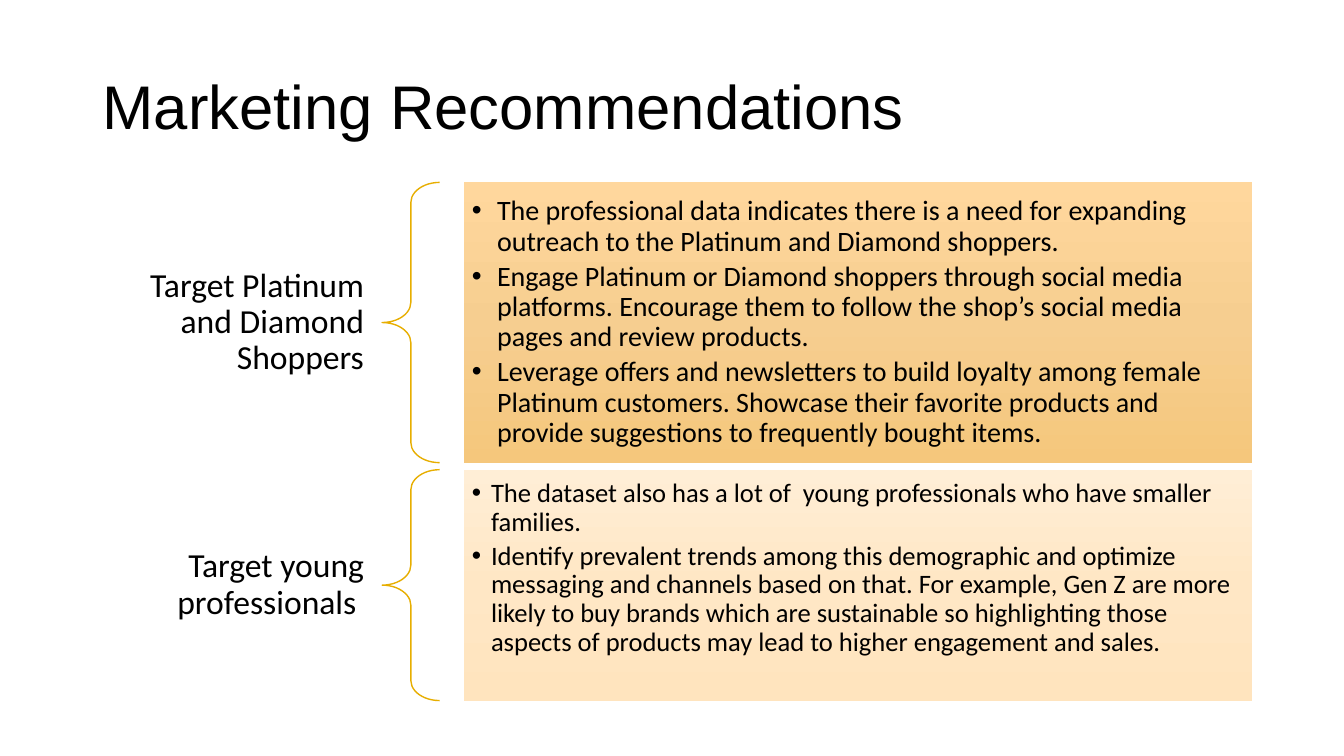
from copy import deepcopy
from dataclasses import dataclass

from lxml.etree import SubElement
from pptx import Presentation
from pptx.dml.color import RGBColor
from pptx.enum.shapes import MSO_SHAPE as Shape
from pptx.enum.text import MSO_ANCHOR as Anchor, PP_ALIGN as Align
from pptx.oxml.ns import qn
from pptx.util import Inches, Pt

BLACK = RGBColor(0x00, 0x00, 0x00)
GOLD = RGBColor(0xE7, 0xAE, 0x00)
DEEP_ORANGE = (RGBColor(0xFF, 0xD7, 0x9D), RGBColor(0xF6, 0xCE, 0x90), RGBColor(0xF5, 0xC7, 0x7C))
PALE_ORANGE = (RGBColor(0xFF, 0xEE, 0xD6), RGBColor(0xFF, 0xE7, 0xC5), RGBColor(0xFF, 0xE4, 0xBE))

LABEL_LEFT, LABEL_WIDTH = 0.92, 2.88
BRACE_LEFT, BRACE_WIDTH = 3.79, 0.57
PANEL_LEFT, PANEL_WIDTH = 4.6, 7.82


@dataclass(frozen=True)
class Recommendation:
    label: str
    points: tuple[str, ...]
    top: float
    height: float
    shades: tuple[RGBColor, RGBColor, RGBColor]
    size: float
    indent: float
    bottom_inset: float


RECOMMENDATIONS = (
    Recommendation(
        "Target Platinum and Diamond Shoppers",
        (
            "The professional data indicates there is a need for expanding outreach to the "
            "Platinum and Diamond shoppers.",
            "Engage Platinum or Diamond shoppers through social media platforms. Encourage them "
            "to follow the shop’s social media pages and review products.",
            "Leverage offers and newsletters to build loyalty among female Platinum customers. "
            "Showcase their favorite products and provide suggestions to frequently bought items.",
        ),
        top=1.81, height=2.78, shades=DEEP_ORANGE, size=20, indent=0.25, bottom_inset=0.08,
    ),
    Recommendation(
        "Target young professionals ",
        (
            "The dataset also has a lot of  young professionals who have smaller families.",
            "Identify prevalent trends among this demographic and optimize messaging and channels "
            "based on that. For example, Gen Z are more likely to buy brands which are sustainable "
            "so highlighting those aspects of products may lead to higher engagement and sales.",
        ),
        top=4.66, height=2.29, shades=PALE_ORANGE, size=19, indent=0.19, bottom_inset=0.41,
    ),
)


def write(shape, *texts: str, size: float, font: str = "Calibri", align=Align.LEFT,
          insets: tuple[float, float, float, float] = (0.1, 0.05, 0.1, 0.05),
          space_after: float = 0, indent: float = 0) -> None:
    """Fill a shape with paragraphs; a positive indent makes them bullets."""
    frame = shape.text_frame
    frame.word_wrap = True
    frame.vertical_anchor = Anchor.MIDDLE
    frame.margin_left, frame.margin_top, frame.margin_right, frame.margin_bottom = map(Inches, insets)
    for index, text in enumerate(texts):
        para = frame.add_paragraph() if index else frame.paragraphs[0]
        para.alignment = align
        para.line_spacing = 0.9
        para.space_after = Pt(space_after)
        span = para.add_run()
        span.text = text
        span.font.name, span.font.size = font, Pt(size)
        span.font.color.rgb = BLACK
        if indent:
            properties = para._p.get_or_add_pPr()
            properties.set("marL", str(Inches(indent)))
            properties.set("indent", str(-Inches(indent)))
            SubElement(properties, qn("a:buFont"), typeface="Arial")
            SubElement(properties, qn("a:buChar"), char="•")


def add_text(page, left: float, top: float, width: float, height: float):
    return page.shapes.add_textbox(Inches(left), Inches(top), Inches(width), Inches(height))


def add_plain_shape(page, kind, left: float, top: float, width: float, height: float):
    shape = page.shapes.add_shape(kind, Inches(left), Inches(top), Inches(width), Inches(height))
    shape.shadow.inherit = False
    return shape


def shade(shape, colors: tuple[RGBColor, ...]) -> None:
    """Apply a three-stop gradient running from top to bottom."""
    shape.fill.gradient()
    shape.fill.gradient_angle = 270
    stop_list = shape._element.spPr.find(qn("a:gradFill")).find(qn("a:gsLst"))
    middle = deepcopy(stop_list[0])
    middle.set("pos", "50000")
    stop_list.insert(1, middle)
    for stop, color in zip(shape.fill.gradient_stops, colors):
        stop.color.rgb = color


def add_recommendation(page, item: Recommendation) -> None:
    # Label
    label = add_text(page, LABEL_LEFT, item.top, LABEL_WIDTH, item.height)
    write(label, item.label, size=24, align=Align.RIGHT, insets=(0.19, 0.07, 0.19, 0.07))

    # Brace
    brace = add_plain_shape(page, Shape.LEFT_BRACE, BRACE_LEFT, item.top, BRACE_WIDTH, item.height)
    brace.adjustments[0], brace.adjustments[1] = 0.35, 0.5
    brace.fill.background()
    brace.line.color.rgb = GOLD
    brace.line.width = Pt(1)

    # Panel with bullets
    panel = add_plain_shape(page, Shape.RECTANGLE, PANEL_LEFT, item.top, PANEL_WIDTH, item.height)
    shade(panel, item.shades)
    panel.line.fill.background()
    write(panel, *item.points, size=item.size, space_after=3.5, indent=item.indent,
          insets=(0.08, 0.08, 0.08, item.bottom_inset))


def main() -> None:
    deck = Presentation()
    deck.slide_width, deck.slide_height = Inches(13.33), Inches(7.5)
    page = deck.slides.add_slide(deck.slide_layouts[6])

    # Title
    title = add_text(page, 0.92, 0.36, 11.5, 1.45)
    write(title, "Marketing Recommendations", size=44, font="Arial")

    # Recommendations
    for item in RECOMMENDATIONS:
        add_recommendation(page, item)

    deck.save("out.pptx")


if __name__ == "__main__":
    main()
